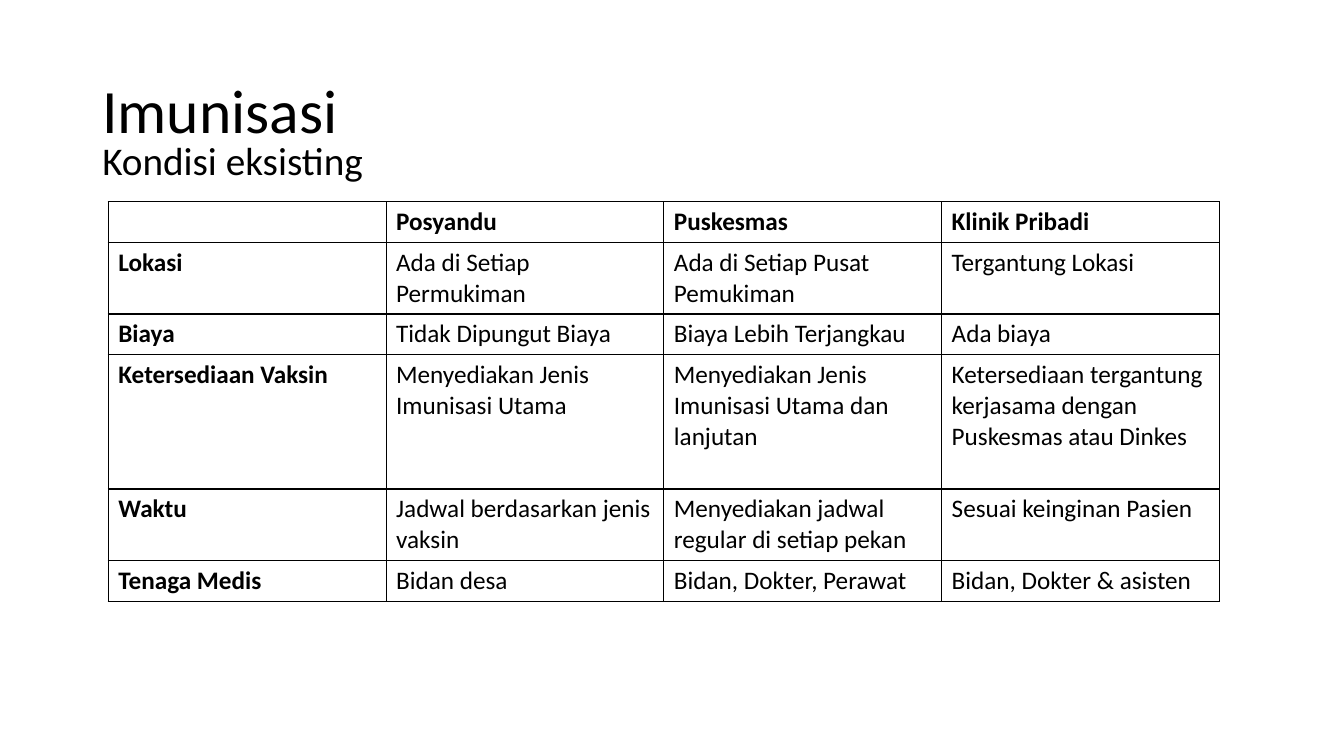
"""Build the slide comparing places that offer immunisation."""
from lxml import etree
from pptx import Presentation, util as u
from pptx.dml.color import RGBColor
from pptx.enum import text
from pptx.oxml import ns

BLACK = RGBColor(0, 0, 0)
FONT = "Calibri"


def add_run(paragraph, words, size, bold=False):
    run = paragraph.add_run()
    run.text = words
    run.font.name = FONT
    run.font.size = u.Pt(size)
    run.font.bold = bold
    run.font.color.rgb = BLACK


def add_borders(cell):
    properties = cell._tc.get_or_add_tcPr()
    for side in ("lnL", "lnR", "lnT", "lnB"):
        line = etree.SubElement(properties, ns.qn(f"a:{side}"), w=str(u.Pt(1)))
        fill = etree.SubElement(line, ns.qn("a:solidFill"))
        etree.SubElement(fill, ns.qn("a:srgbClr"), val=str(BLACK))


prs = Presentation()
prs.slide_width = u.Cm(33.87)
prs.slide_height = u.Cm(19.05)
slide = prs.slides.add_slide(prs.slide_layouts[6])

headings = [
    ("Kondisi eksisting", 28, 3.45, 13.18, text.MSO_ANCHOR.TOP),
    ("Imunisasi", 44, 1.02, 3.68, text.MSO_ANCHOR.MIDDLE),
]
for words, size, top, height, anchor in headings:
    heading = slide.shapes.add_textbox(u.Cm(2.33), u.Cm(top), u.Cm(29.21), u.Cm(height))
    frame = heading.text_frame
    frame.word_wrap = True
    frame.vertical_anchor = anchor
    paragraph = frame.paragraphs[0]
    paragraph.line_spacing = 0.9
    add_run(paragraph, words, size)

comparison = [
    ("", "Posyandu", "Puskesmas", "Klinik Pribadi"),
    ("Lokasi", "Ada di Setiap Permukiman", "Ada di Setiap Pusat Pemukiman",
     "Tergantung Lokasi"),
    ("Biaya", "Tidak Dipungut Biaya", "Biaya Lebih Terjangkau", "Ada biaya"),
    ("Ketersediaan Vaksin", "Menyediakan Jenis Imunisasi Utama",
     "Menyediakan Jenis Imunisasi Utama dan lanjutan",
     "Ketersediaan tergantung kerjasama dengan Puskesmas atau Dinkes"),
    ("Waktu", "Jadwal berdasarkan jenis vaksin",
     "Menyediakan jadwal regular di setiap pekan", "Sesuai keinginan Pasien"),
    ("Tenaga Medis", "Bidan desa", "Bidan, Dokter, Perawat", "Bidan, Dokter & asisten"),
]
row_heights = [1.03, 1.8, 1.03, 3.38, 1.8, 1.03]

table = slide.shapes.add_table(
    len(comparison), len(comparison[0]),
    u.Cm(2.73), u.Cm(5.08), u.Cm(28), u.Cm(sum(row_heights))).table
table.first_row = False
table.horz_banding = False

for row, (entries, height) in enumerate(zip(comparison, row_heights)):
    table.rows[row].height = u.Cm(height)
    for column, words in enumerate(entries):
        cell = table.cell(row, column)
        add_borders(cell)
        cell.fill.background()
        if words:
            add_run(cell.text_frame.paragraphs[0], words, 18, row == 0 or column == 0)

prs.save("out.pptx")
